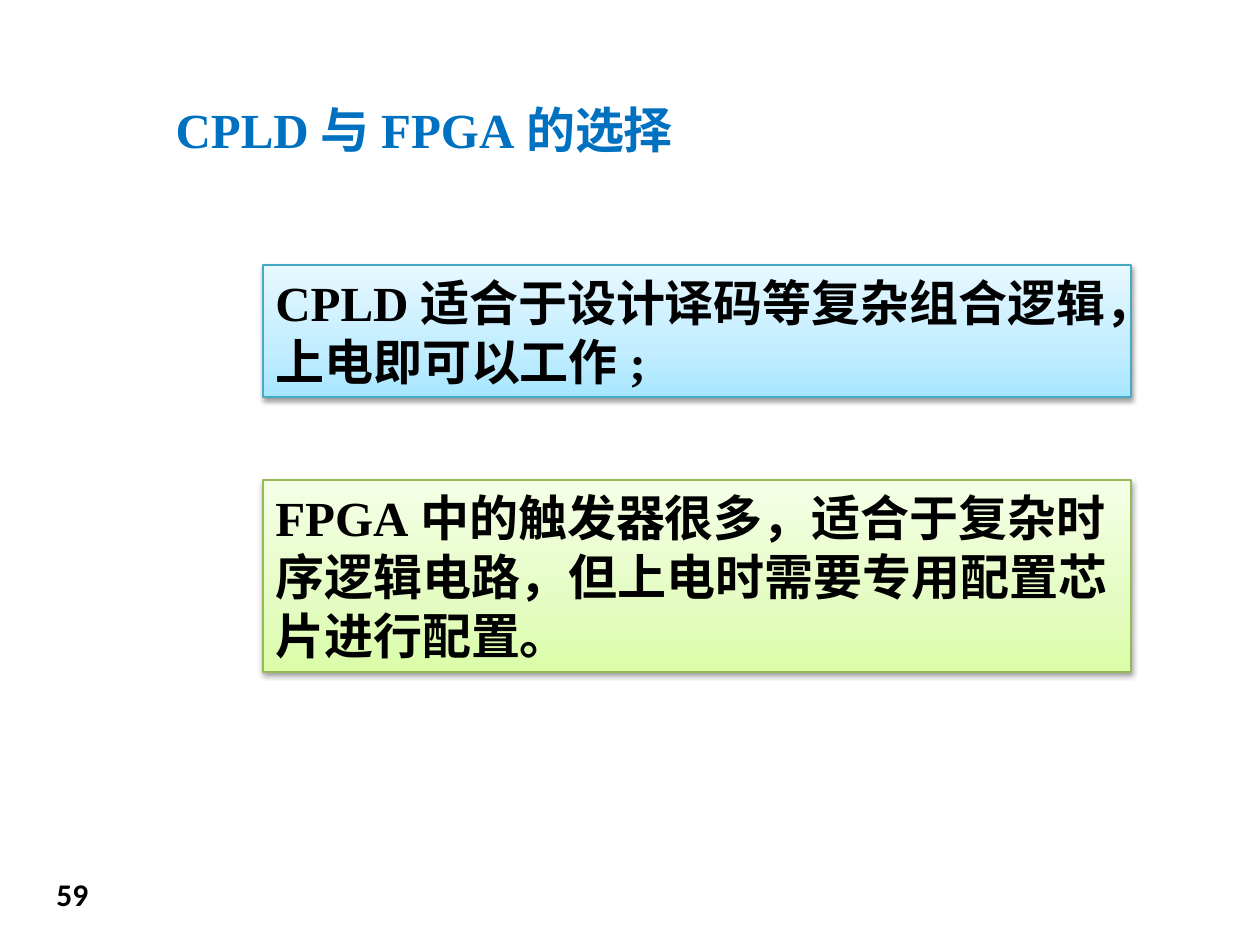
from pptx import Presentation
from pptx.dml.color import RGBColor
from pptx.enum.shapes import MSO_SHAPE
from pptx.enum.text import MSO_ANCHOR, MSO_AUTO_SIZE, PP_ALIGN
from pptx.oxml import parse_xml
from pptx.oxml.ns import nsdecls
from pptx.util import Emu, Pt

THEME = {
    "title": "0070C0", "ink": "000000",
    "cpld": {"line": "46AAC5", "stops": ("A7E6FF", "C1EDFF", "E7F8FF")},
    "fpga": {"line": "98B955", "stops": ("DAFDA7", "E4FCC2", "F5FFE7")},
    "body_font": "Times New Roman", "number_font": "Calibri",
    "body_size": 28, "number_size": 18, "outline": 0.75,
}
STOP_POSITIONS = (0, 35, 100)

TITLE = "CPLD与FPGA的选择"
ADVICE = [
    ("cpld", "CPLD适合于设计译码等复杂组合逻辑，上电即可以工作;", 132),
    ("fpga", "FPGA中的触发器很多，适合于复杂时序逻辑电路，但上电时需要专用配置芯片进行配置。", 192),
]
PAGE_NUMBER = "59"

TITLE_AREA = (163, 93, 1053, 72)
NUMBER_AREA = (44, 869, 79, 57)
ADVICE_LEFT, ADVICE_TOP, ADVICE_WIDTH, ADVICE_GAP = 263, 265, 868, 83


def px(length):
    return Emu(round(length * 914400 / 126))


def write(shape, text, color="ink", font="body_font", size="body_size", anchor=MSO_ANCHOR.MIDDLE):
    frame = shape.text_frame
    frame.word_wrap = True
    frame.auto_size = MSO_AUTO_SIZE.NONE
    frame.vertical_anchor = anchor
    paragraph = frame.paragraphs[0]
    paragraph.alignment = PP_ALIGN.LEFT
    run = paragraph.add_run()
    run.text = text
    run.font.name = THEME[font]
    run.font.size = Pt(THEME[size])
    run.font.bold = True
    run.font.color.rgb = RGBColor.from_string(THEME[color])


def paint(shape, palette):
    shape.line.color.rgb = RGBColor.from_string(palette["line"])
    shape.line.width = Pt(THEME["outline"])
    stops = "".join(
        f'<a:gs pos="{position * 1000}"><a:srgbClr val="{color}"/></a:gs>'
        for position, color in zip(STOP_POSITIONS, palette["stops"])
    )
    gradient = parse_xml(
        f'<a:gradFill {nsdecls("a")} rotWithShape="1"><a:gsLst>{stops}</a:gsLst>'
        '<a:lin ang="16200000" scaled="0"/></a:gradFill>'
    )
    shadow = parse_xml(
        f'<a:effectLst {nsdecls("a")}><a:outerShdw blurRad="40000" dist="20000" '
        'dir="5400000" rotWithShape="0"><a:srgbClr val="000000">'
        '<a:alpha val="38000"/></a:srgbClr></a:outerShdw></a:effectLst>'
    )
    properties = shape.element.spPr
    properties.insert(2, gradient)
    properties.append(shadow)


def main():
    deck = Presentation()
    deck.slide_width, deck.slide_height = px(1260), px(945)
    slide = deck.slides.add_slide(deck.slide_layouts[5])

    title = slide.shapes.title
    title.left, title.top, title.width, title.height = map(px, TITLE_AREA)
    write(title, TITLE, color="title")

    top = ADVICE_TOP
    for device, advice, height in ADVICE:
        area = map(px, (ADVICE_LEFT, top, ADVICE_WIDTH, height))
        panel = slide.shapes.add_shape(MSO_SHAPE.RECTANGLE, *area)
        paint(panel, THEME[device])
        write(panel, advice)
        top += height + ADVICE_GAP

    number = slide.shapes.add_textbox(*map(px, NUMBER_AREA))
    write(number, PAGE_NUMBER, font="number_font", size="number_size", anchor=MSO_ANCHOR.TOP)

    deck.save("out.pptx")


if __name__ == "__main__":
    main()
